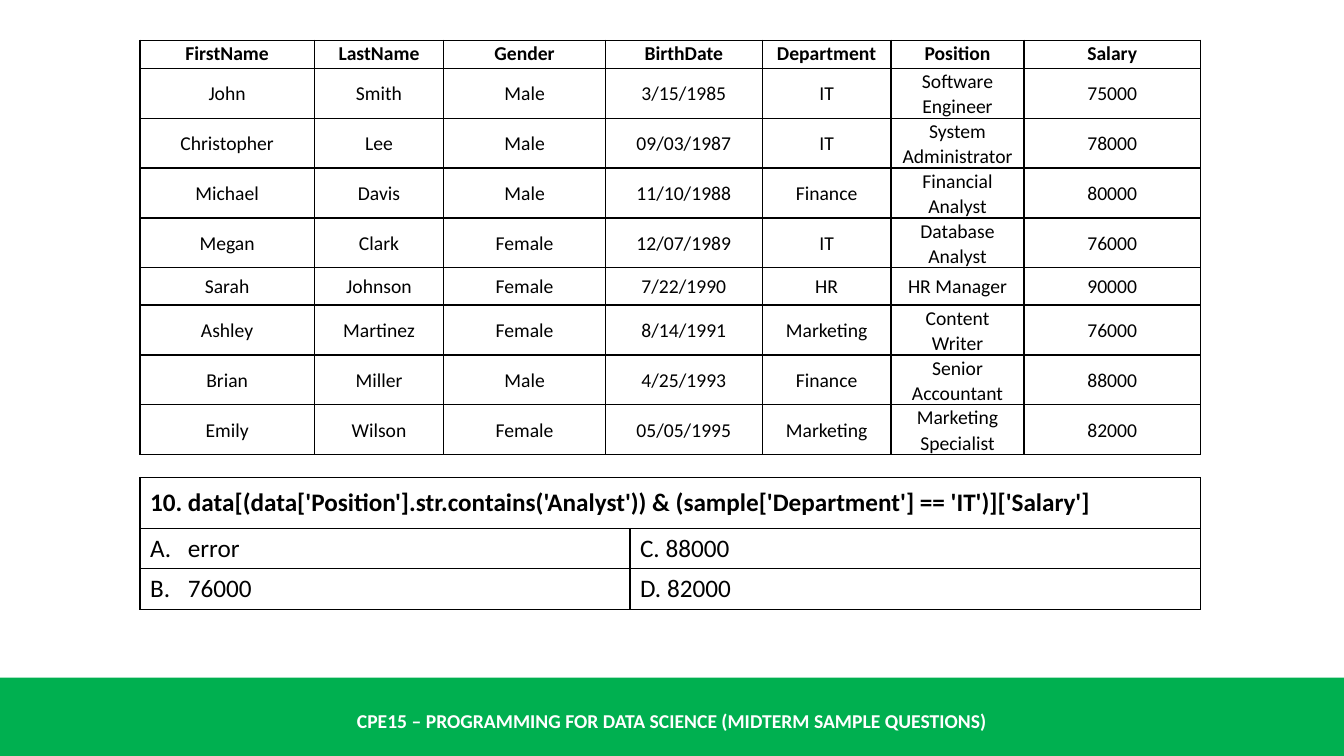
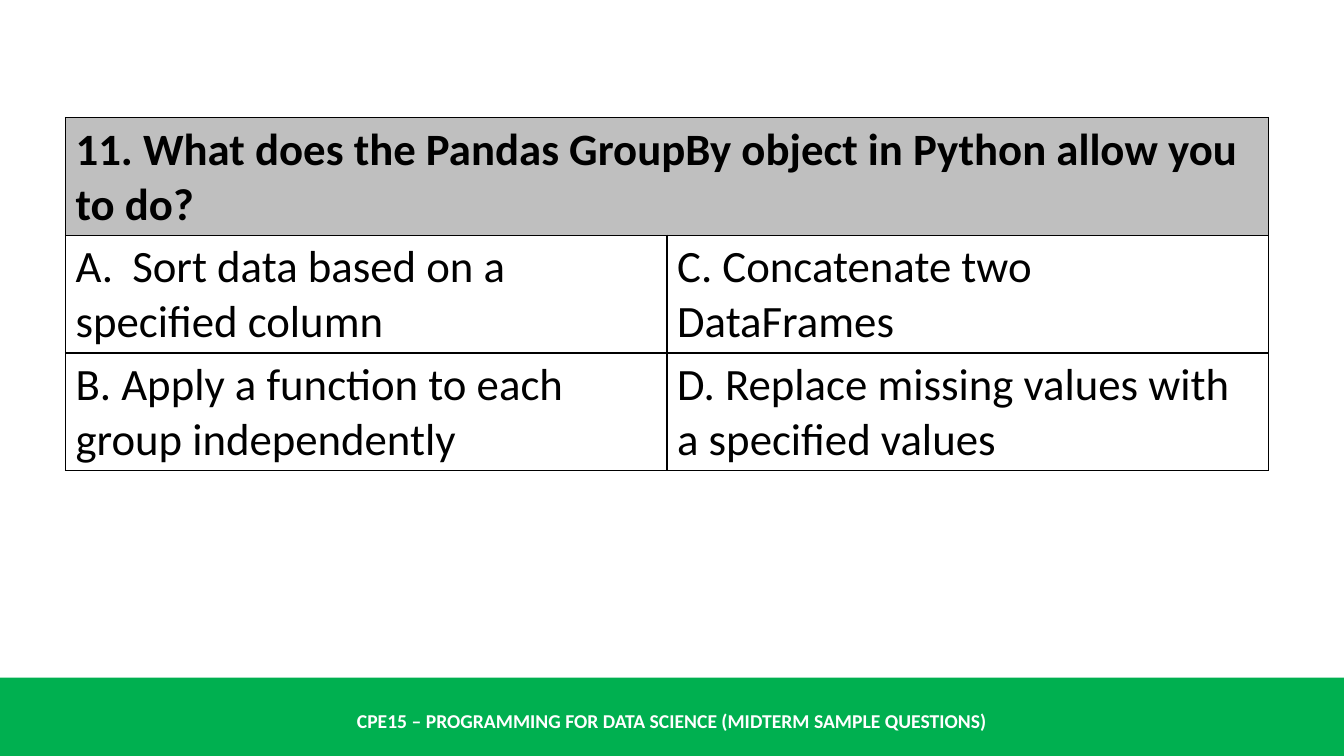
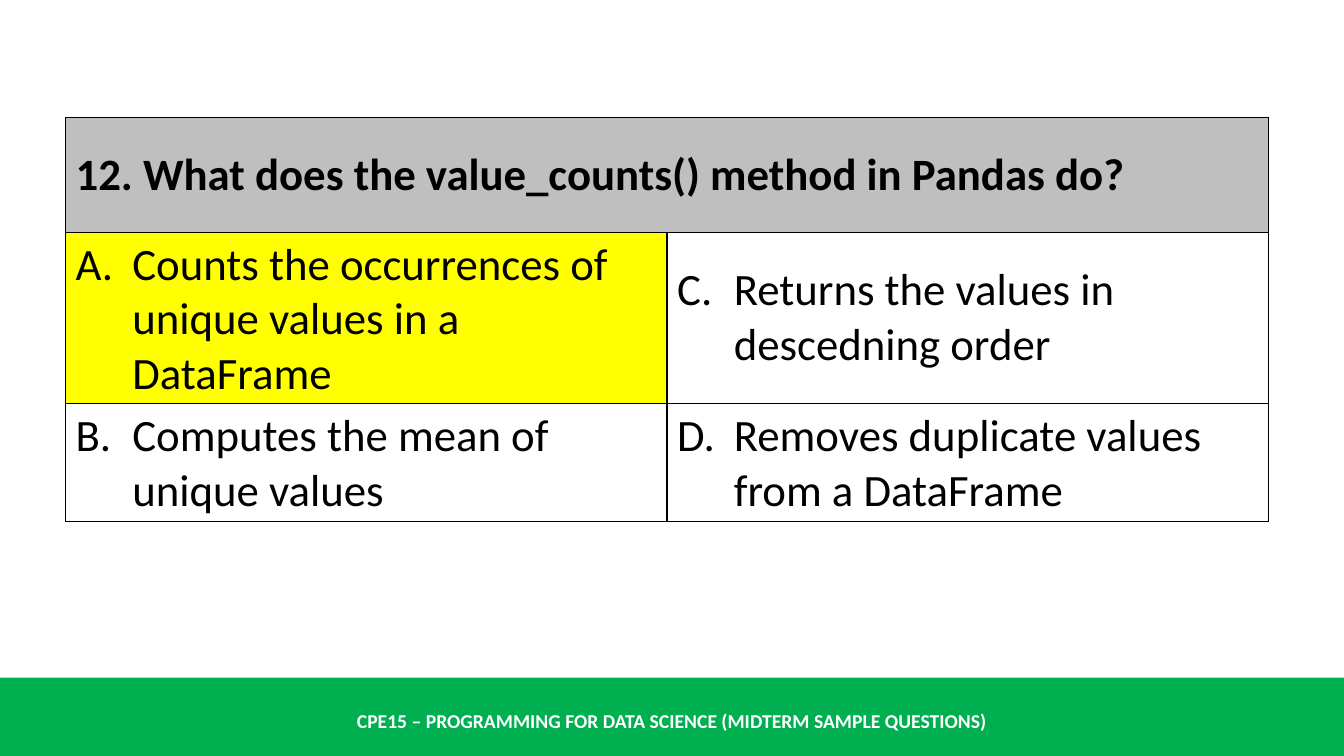
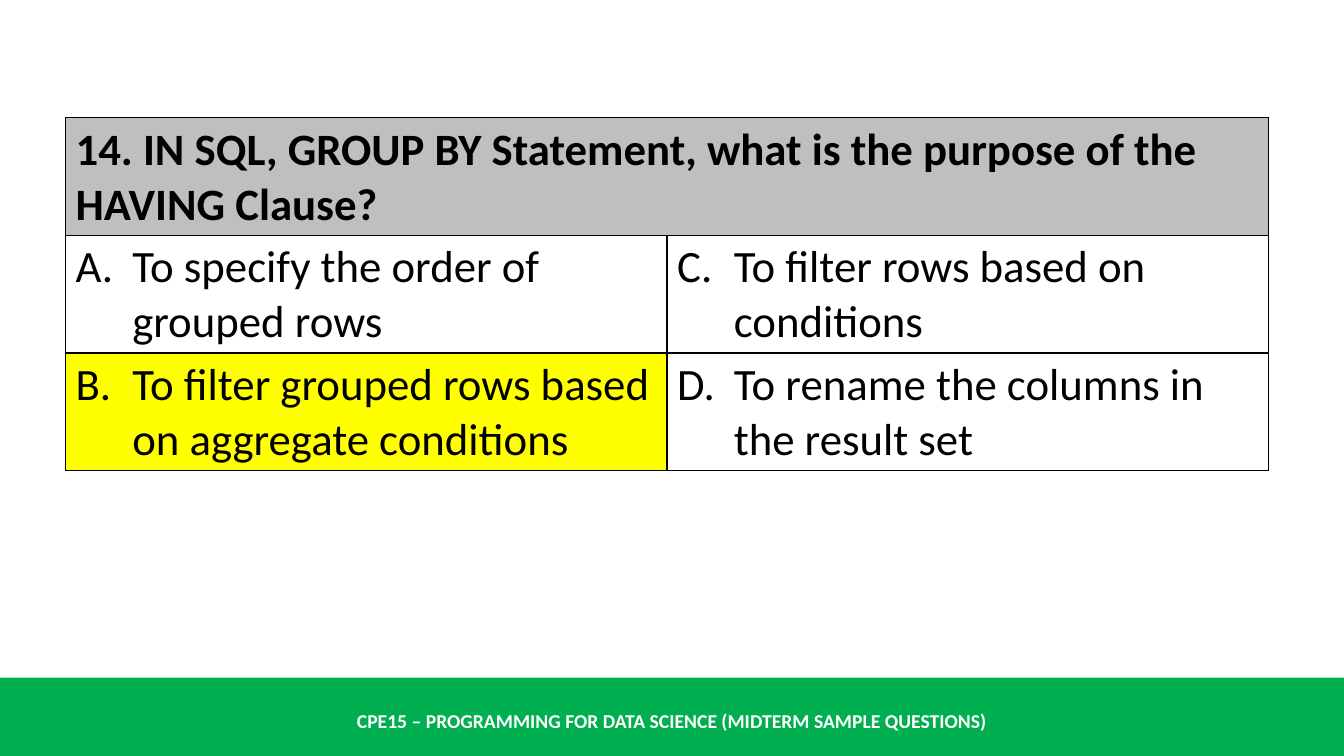
from lxml import etree
from pptx import Presentation
from pptx.dml.color import RGBColor
from pptx.enum import shapes, text
from pptx.oxml import ns
from pptx.util import Pt

color = RGBColor.from_string
GREEN, GREY, YELLOW = "00B050", "BFBFBF", "FFFF00"
BLACK, WHITE = "000000", "FFFFFF"
FOOTER = "CPE15 – PROGRAMMING FOR DATA SCIENCE (MIDTERM SAMPLE QUESTIONS)"


def write(frame, words, size=14, bold=False, ink=BLACK, align=text.PP_ALIGN.LEFT,
          spacing=None, number=None, indent=0):
    for index, line in enumerate(words.split("\n")):
        para = frame.add_paragraph() if index else frame.paragraphs[0]
        para.alignment = align
        para.line_spacing = spacing
        if number and index == 0:
            layout = para._p.get_or_add_pPr()
            layout.set("marL", str(Pt(indent)))
            layout.set("indent", str(-Pt(indent)))
            etree.SubElement(layout, ns.qn("a:buAutoNum"),
                             type="alphaUcPeriod", startAt=str(number))
        span = para.add_run()
        span.text = line
        span.font.name = "Calibri"
        span.font.size = Pt(size)
        span.font.bold = bold
        span.font.color.rgb = color(ink)


def add_grid(page, left, top, widths, heights):
    table = page.shapes.add_table(len(heights), len(widths), Pt(left), Pt(top),
                                  Pt(sum(widths)), Pt(sum(heights))).table
    table.first_row = table.horz_banding = False
    for column, width in zip(table.columns, widths):
        column.width = Pt(width)
    for row, height in zip(table.rows, heights):
        row.height = Pt(height)
    for cell in table.iter_cells():
        cell.vertical_anchor = text.MSO_ANCHOR.MIDDLE
        for side in ("lnL", "lnR", "lnT", "lnB"):
            edge = etree.SubElement(cell._tc.get_or_add_tcPr(), ns.qn("a:" + side), w=str(Pt(1)))
            paint = etree.SubElement(edge, ns.qn("a:solidFill"))
            etree.SubElement(paint, ns.qn("a:srgbClr"), val=BLACK)
        cell.fill.background()
    return table


deck = Presentation()
deck.slide_width, deck.slide_height = Pt(960), Pt(540)
blank = deck.slide_layouts[6]
pages = [deck.slides.add_slide(blank) for _ in range(4)]

band = pages[0].shapes.add_shape(shapes.MSO_SHAPE.RECTANGLE, 0, Pt(484), Pt(960), Pt(56))
band.shadow.inherit = False
band.fill.solid()
band.fill.fore_color.rgb = color(GREEN)
band.line.fill.background()
footer = pages[0].shapes.add_textbox(0, Pt(500.5), Pt(960), Pt(29))
footer.text_frame.word_wrap = True
footer.text_frame.vertical_anchor = text.MSO_ANCHOR.MIDDLE
write(footer.text_frame, FOOTER, bold=True, ink=WHITE, align=text.PP_ALIGN.CENTER)
for shape in (band, footer):
    blank.shapes.element.append(shape.element)

staff = [
    ("FirstName", "LastName", "Gender", "BirthDate", "Department", "Position", "Salary"),
    ("John", "Smith", "Male", "3/15/1985", "IT", "Software Engineer", "75000"),
    ("Christopher", "Lee", "Male", "09/03/1987", "IT", "System Administrator", "78000"),
    ("Michael", "Davis", "Male", "11/10/1988", "Finance", "Financial Analyst", "80000"),
    ("Megan", "Clark", "Female", "12/07/1989", "IT", "Database Analyst", "76000"),
    ("Sarah", "Johnson", "Female", "7/22/1990", "HR", "HR Manager", "90000"),
    ("Ashley", "Martinez", "Female", "8/14/1991", "Marketing", "Content Writer", "76000"),
    ("Brian", "Miller", "Male", "4/25/1993", "Finance", "Senior Accountant", "88000"),
    ("Emily", "Wilson", "Female", "05/05/1995", "Marketing", "Marketing Specialist", "82000"),
]
staff_table = add_grid(pages[0], 100, 28.8, [124.5, 92.5, 115.5, 112, 92, 95, 126],
                       [20, 34, 30, 31, 31, 26.6, 26.6, 34, 34])
for row, person in enumerate(staff):
    for column, value in enumerate(person):
        cell = staff_table.cell(row, column)
        cell.margin_left = cell.margin_right = Pt(5)
        cell.margin_top = cell.margin_bottom = 0
        if row == 0:
            cell.vertical_anchor = text.MSO_ANCHOR.TOP
        write(cell.text_frame, value, bold=row == 0, align=text.PP_ALIGN.CENTER, spacing=1.06)

small = dict(left=100, top=341, widths=[350, 407.5], heights=[36.5, 24.5, 24.5])
large = dict(left=46.8, top=84, widths=[429.7, 429.7], heights=[82, 82, 82])
quiz = [
    (small, 18, 27, None, None,
     "10. data[(data['Position'].str.contains('Analyst')) & (sample['Department'] == 'IT')]['Salary']",
     ["error", "76000", "C. 88000", "D. 82000"]),
    (large, 32, 40.5, GREY, None,
     "11. What does the Pandas GroupBy object in Python allow you to do?",
     ["Sort data based on a\nspecified column",
      "B. Apply a function to each\ngroup independently",
      "C. Concatenate two DataFrames",
      "D. Replace missing values with a specified values"]),
    (large, 32, 40.5, GREY, 0,
     "12. What does the value_counts() method in Pandas do?",
     ["Counts the occurrences of unique values in a DataFrame",
      "Computes the mean of unique values",
      "Returns the values in descedning order",
      "Removes duplicate values from a DataFrame"]),
    (large, 32, 40.5, GREY, 1,
     "14. IN SQL, GROUP BY Statement, what is the purpose of the HAVING Clause?",
     ["To specify the order of grouped rows",
      "To filter grouped rows based on aggregate conditions",
      "To filter rows based on conditions",
      "To rename the columns in the result set"]),
]
for page, (place, size, indent, shade, correct, question, answers) in zip(pages, quiz):
    table = add_grid(page, **place)
    heading = table.cell(0, 0)
    heading.merge(table.cell(0, 1))
    write(heading.text_frame, question, size=size, bold=True)
    if shade:
        heading.fill.solid()
        heading.fill.fore_color.rgb = color(shade)
    for index, answer in enumerate(answers):
        cell = table.cell(1 + index % 2, index // 2)
        lettered = answer.startswith("ABCD"[index] + ". ")
        write(cell.text_frame, answer, size=size, indent=indent,
              number=None if lettered else index + 1)
        if index == correct:
            cell.fill.solid()
            cell.fill.fore_color.rgb = color(YELLOW)

deck.save("out.pptx")
